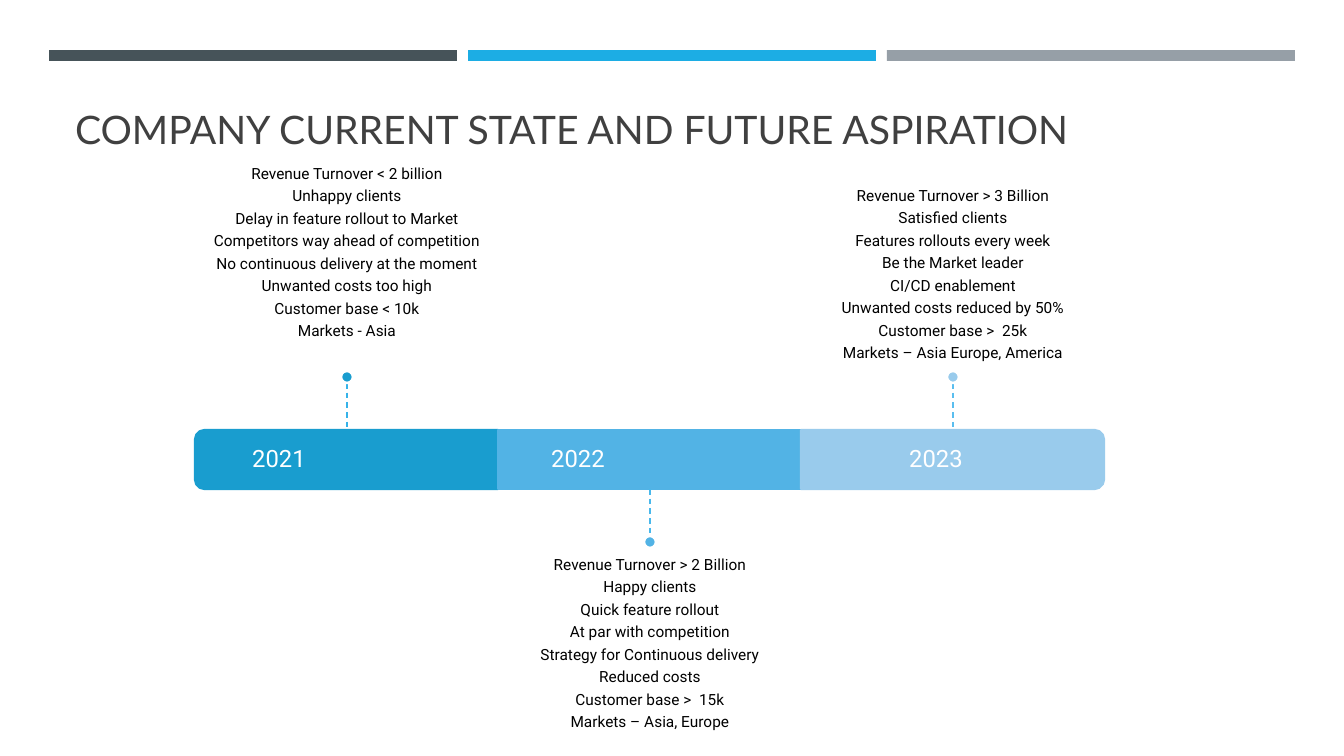
import pptx
import pptx.dml.color
import pptx.enum.dml
import pptx.enum.shapes
import pptx.enum.text
import pptx.oxml.ns
import pptx.util
from lxml import etree

EMU_PER_PX = 914400 / 100.8
SHAPES = pptx.enum.shapes.MSO_SHAPE
ANCHORS = pptx.enum.text.MSO_ANCHOR
ALIGN = pptx.enum.text.PP_ALIGN


def px(length):
    return pptx.util.Emu(round(length * EMU_PER_PX))


def color(hex_code):
    return pptx.dml.color.RGBColor.from_string(hex_code)


class TimelineSlide:
    """Holds the slide being drawn and its text style."""

    heading_font = "Lato"
    body_font = "Roboto"

    def __init__(self, slide):
        self.shapes = slide.shapes

    def shape(self, kind, left, top, width, height, fill, line=None, rotation=0):
        item = self.shapes.add_shape(kind, px(left), px(top), px(width), px(height))
        item.shadow.inherit = False
        item.rotation = rotation
        item.fill.solid()
        item.fill.fore_color.rgb = color(fill)
        if line:
            item.line.color.rgb = color(line)
            item.line.width = pptx.util.Pt(1.75)
        else:
            item.line.fill.background()

    def dashed_line(self, x, top, bottom, line):
        stem = self.shapes.add_connector(
            pptx.enum.shapes.MSO_CONNECTOR.STRAIGHT, px(x), px(top), px(x), px(bottom))
        stem.line.color.rgb = color(line)
        stem.line.width = pptx.util.Pt(1)
        stem.line.dash_style = pptx.enum.dml.MSO_LINE.DASH
        etree.SubElement(stem._element.spPr, pptx.oxml.ns.qn("a:effectLst"))

    def text(self, lines, left, top, width, height, size, fill, font=body_font,
             align=ALIGN.CENTER, anchor=ANCHORS.MIDDLE, insets=(0, 0, 0, 0),
             line_spacing=0.9, space_after=4.2):
        """Write one paragraph per line; insets run left, top, right, bottom."""
        box = self.shapes.add_textbox(px(left), px(top), px(width), px(height))
        frame = box.text_frame
        frame.word_wrap = True
        frame.vertical_anchor = anchor
        (frame.margin_left, frame.margin_top,
         frame.margin_right, frame.margin_bottom) = map(px, insets)
        frame.text = "\n".join(lines)
        for paragraph in frame.paragraphs:
            paragraph.alignment = align
            paragraph.line_spacing = line_spacing
            paragraph.space_after = pptx.util.Pt(space_after)
            for run in paragraph.runs:
                run.font.name = font
                run.font.size = pptx.util.Pt(size)
                run.font.color.rgb = color(fill)


BAR_LEFT, BAR_TOP, BAR_WIDTH, BAR_HEIGHT = 195, 430, 303, 59
STEM, DOT = 47, 12
NOTES_WIDTH, NOTES_HEIGHT = 506, 208

# year, year centre, bar colour, stem colour, bar shape, rotation, above bar, lift, notes
STAGES = [
    ("2021", 279, "199DCF", "36B3E9", SHAPES.ROUND_2_SAME_RECTANGLE, 270, True, 22, [
        "Revenue Turnover < 2 billion",
        "Unhappy clients",
        "Delay in feature rollout to Market",
        "Competitors way ahead of competition",
        "No continuous delivery at the moment",
        "Unwanted costs too high",
        "Customer base < 10k",
        "Markets - Asia",
    ]),
    ("2022", 578, "52B3E5", "48B8EC", SHAPES.RECTANGLE, 0, False, 0, [
        "Revenue Turnover > 2 Billion",
        "Happy clients",
        "Quick feature rollout",
        "At par with competition",
        "Strategy for Continuous delivery",
        "Reduced costs",
        "Customer base >  15k",
        "Markets – Asia, Europe",
    ]),
    ("2023", 936, "99CBEC", "5ABEEF", SHAPES.ROUND_2_SAME_RECTANGLE, 90, True, 0, [
        "Revenue Turnover > 3 Billion",
        "Satisfied clients",
        "Features rollouts every week",
        "Be the Market leader",
        "CI/CD enablement",
        "Unwanted costs reduced by 50%",
        "Customer base >  25k",
        "Markets – Asia Europe, America",
    ]),
]


def draw_stage(page, index, stage):
    year, year_center, fill, stem_color, bar, rotation, above, lift, notes = stage
    left = BAR_LEFT + index * BAR_WIDTH
    center = left + BAR_WIDTH // 2 + 1
    if rotation:
        # A quarter turn swaps the sides around the same centre.
        shift = (BAR_WIDTH - BAR_HEIGHT) // 2
        page.shape(bar, left + shift, BAR_TOP - shift, BAR_HEIGHT, BAR_WIDTH,
                   fill, fill, rotation)
    else:
        page.shape(bar, left, BAR_TOP, BAR_WIDTH, BAR_HEIGHT, fill, fill)
    page.text([year], year_center - 50, BAR_TOP, 100, BAR_HEIGHT, 17, "FFFFFF")

    if above:
        stem_top = BAR_TOP - STEM
        dot_top = stem_top - DOT
        notes_top = dot_top - NOTES_HEIGHT - lift
        anchor, insets = ANCHORS.BOTTOM, (0, 0, 0, 9)
    else:
        stem_top = BAR_TOP + BAR_HEIGHT
        dot_top = stem_top + STEM
        notes_top = dot_top + DOT
        anchor, insets = ANCHORS.TOP, (0, 9, 0, 0)
    page.text(notes, center - NOTES_WIDTH // 2, notes_top, NOTES_WIDTH, NOTES_HEIGHT,
              11, "000000", anchor=anchor, insets=insets)
    page.dashed_line(center, stem_top, stem_top + STEM, stem_color)
    page.shape(SHAPES.OVAL, center - DOT // 2, dot_top, DOT, DOT, fill, "FFFFFF")


def main():
    deck = pptx.Presentation()
    deck.slide_width, deck.slide_height = px(1344), px(756)
    page = TimelineSlide(deck.slides.add_slide(deck.slide_layouts[6]))

    for index, band_color in enumerate(("465359", "1CADE4", "969FA7")):
        page.shape(SHAPES.RECTANGLE, 49 + index * 419, 50, 408, 11, band_color)
    page.text(["COMPANY CURRENT STATE AND FUTURE ASPIRATION"], 65, 78, 1216, 79, 28,
              "404040", font=page.heading_font, align=ALIGN.LEFT,
              anchor=ANCHORS.BOTTOM, insets=(10, 5, 10, 5), line_spacing=1, space_after=0)
    for index, stage in enumerate(STAGES):
        draw_stage(page, index, stage)

    deck.save("out.pptx")


if __name__ == "__main__":
    main()
